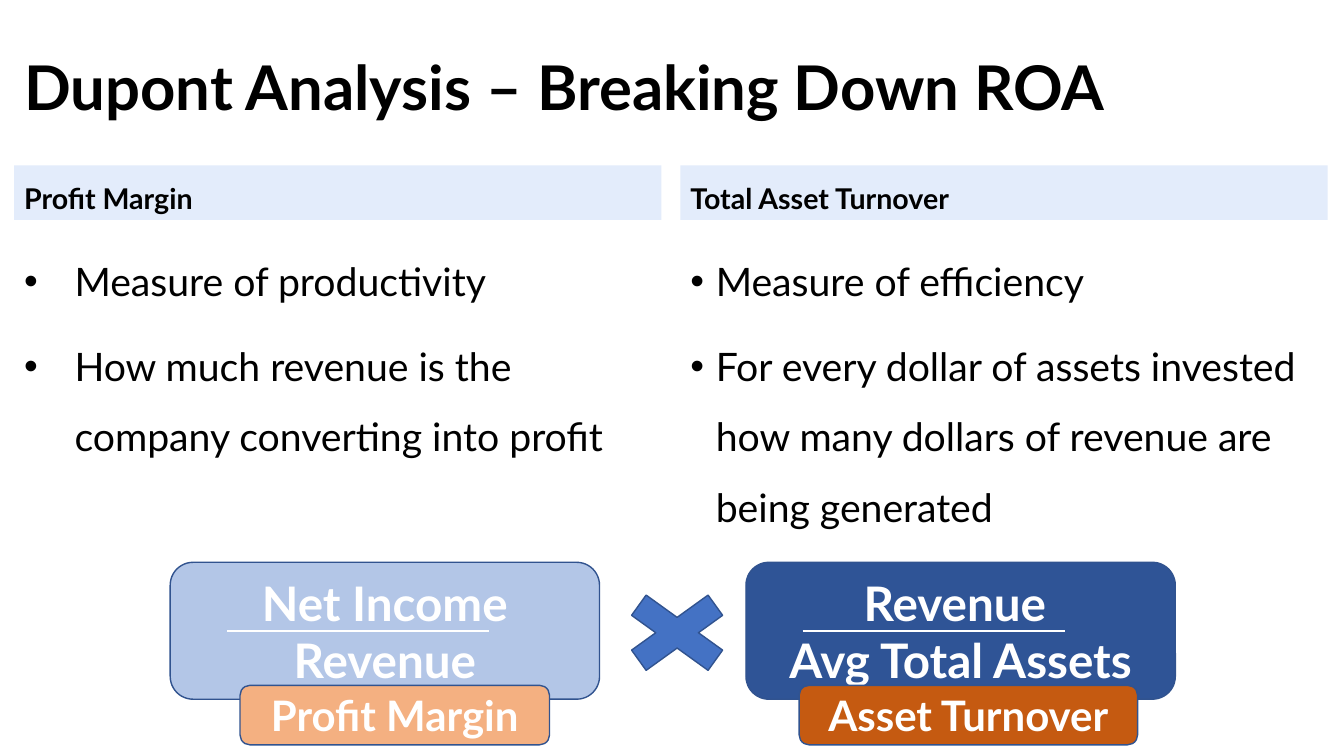
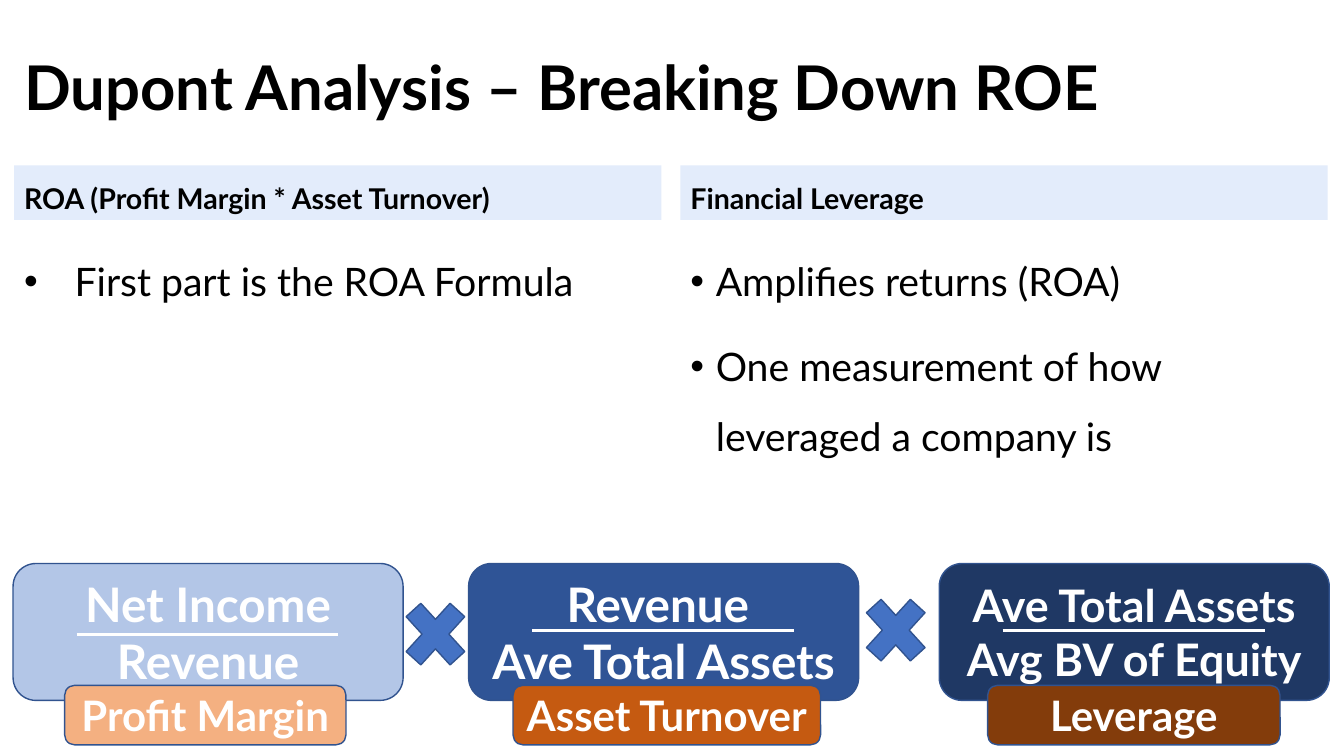
"""Build two slides on Dupont analysis: ROA and ROE."""
from lxml.etree import SubElement
from pptx import Presentation
from pptx.dml.color import RGBColor
from pptx.enum.shapes import MSO_CONNECTOR, MSO_SHAPE
from pptx.enum.text import MSO_ANCHOR, PP_ALIGN
from pptx.oxml.ns import qn
from pptx.util import Cm, Pt

FONT = "Lato"
BLACK = RGBColor(0x00, 0x00, 0x00)
WHITE = RGBColor(0xFF, 0xFF, 0xFF)
BAND = RGBColor(0xE3, 0xEC, 0xFB)
OUTLINE = RGBColor(0x31, 0x53, 0x8F)
TIMES = RGBColor(0x44, 0x72, 0xC4)
LIGHT_BLUE = RGBColor(0xB3, 0xC6, 0xE7)
BLUE = RGBColor(0x2F, 0x54, 0x96)
NAVY = RGBColor(0x1F, 0x38, 0x64)
PEACH = RGBColor(0xF4, 0xB0, 0x81)
ORANGE = RGBColor(0xC5, 0x5A, 0x11)
BROWN = RGBColor(0x83, 0x3C, 0x0B)

COLUMN_LEFTS = (0.36, 17.15)
COLUMN_INDENTS = (1.27, 0.64)
COLUMN_WIDTH = 16.31
FRACTION_HEIGHT = 3.45
BAR_LENGTH = 6.6
TAG_TOP, TAG_HEIGHT = 17.27, 1.5

SLIDES = [
    {
        "title": "Dupont Analysis – Breaking Down ROA",
        "columns": [
            ("Profit Margin",
             ["Measure of productivity",
              "How much revenue is the company converting into profit"]),
            ("Total Asset Turnover",
             ["Measure of efficiency",
              "For every dollar of assets invested how many dollars of revenue are being generated"]),
        ],
        "body_height": 7.98,
        "fraction_top": 14.17,
        "fraction_width": 10.82,
        "bar_offset": 1.43,
        "factors": [
            {"left": 4.29, "lines": ["Net Income", "Revenue"], "size": 34, "fill": LIGHT_BLUE,
             "bar_top": 15.9, "tag": ("Profit Margin", 6.05, 7.8, PEACH)},
            {"left": 18.8, "lines": ["Revenue ", "Avg Total Assets"], "size": 34, "fill": BLUE,
             "bar_top": 15.9, "tag": ("Asset Turnover", 20.14, 8.53, ORANGE)},
        ],
        "times": [(15.21, 14.61, 3.71, 2.67)],
    },
    {
        "title": "Dupont Analysis – Breaking Down ROE",
        "columns": [
            ("ROA (Profit Margin * Asset Turnover)",
             ["First part is the ROA Formula"]),
            ("Financial Leverage",
             ["Amplifies returns (ROA)",
              "One measurement of how leveraged a company is"]),
        ],
        "body_height": 11.43,
        "fraction_top": 14.2,
        "fraction_width": 9.83,
        "bar_offset": 1.6,
        "factors": [
            {"left": 0.33, "lines": ["Net Income", "Revenue"], "size": 34, "fill": LIGHT_BLUE,
             "bar_top": 15.98, "tag": ("Profit Margin", 1.63, 7.09, PEACH)},
            {"left": 11.81, "lines": ["Revenue ", "Ave Total Assets"], "size": 34, "fill": BLUE,
             "bar_top": 15.88, "tag": ("Asset Turnover", 12.93, 7.75, ORANGE)},
            {"left": 23.67, "lines": ["Ave Total Assets", "Avg BV of Equity"], "size": 32, "fill": NAVY,
             "bar_top": 15.88, "tag": ("Leverage", 24.89, 7.37, BROWN)},
        ],
        "times": [(9.91, 14.81, 2.13, 2.34), (21.51, 14.71, 2.13, 2.34)],
    },
]


def write(box, lines, size, color=BLACK, bold=False, align=PP_ALIGN.LEFT,
          anchor=MSO_ANCHOR.MIDDLE, spacing=1.0, before=0, indent=None):
    frame = box.text_frame
    frame.word_wrap = True
    frame.vertical_anchor = anchor
    for index, line in enumerate(lines):
        para = frame.add_paragraph() if index else frame.paragraphs[0]
        para.alignment = align
        para.line_spacing = spacing
        para.space_before = Pt(before if index else 0)
        if indent:
            add_bullet(para, indent)
        span = para.add_run()
        span.text = line
        span.font.name = FONT
        span.font.size = Pt(size)
        span.font.bold = bold
        span.font.color.rgb = color


def add_bullet(para, indent):
    properties = para._p.get_or_add_pPr()
    properties.set("marL", str(Cm(indent)))
    properties.set("indent", str(-Cm(indent)))
    SubElement(properties, qn("a:buFont")).set("typeface", "Arial")
    SubElement(properties, qn("a:buChar")).set("char", "•")


def add_block(page, kind, area, fill, outline=None):
    block = page.shapes.add_shape(kind, *map(Cm, area))
    block.shadow.inherit = False
    block.fill.solid()
    block.fill.fore_color.rgb = fill
    if outline is None:
        block.line.fill.background()
    else:
        block.line.color.rgb = outline
        block.line.width = Pt(1)
    return block


def add_bar(page, left, top):
    bar = page.shapes.add_connector(
        MSO_CONNECTOR.STRAIGHT, Cm(left), Cm(top), Cm(left + BAR_LENGTH), Cm(top))
    bar.line.color.rgb = WHITE
    bar.line.width = Pt(2)
    SubElement(bar._element.spPr, qn("a:effectLst"))


def add_column(page, left, indent, heading, points, height):
    band = add_block(page, MSO_SHAPE.RECTANGLE, (left, 4.17, COLUMN_WIDTH, 1.37), BAND)
    write(band, [heading], 20.4, bold=True, anchor=MSO_ANCHOR.BOTTOM, spacing=1.4)
    body = page.shapes.add_textbox(Cm(left), Cm(5.77), Cm(COLUMN_WIDTH), Cm(height))
    write(body, points, 28, anchor=MSO_ANCHOR.TOP, spacing=1.5, before=10, indent=indent)


def add_label(page, area, fill, lines, size):
    label = add_block(page, MSO_SHAPE.ROUNDED_RECTANGLE, area, fill, OUTLINE)
    write(label, lines, size, color=WHITE, bold=True, align=PP_ALIGN.CENTER)


def add_page(deck, content):
    page = deck.slides.add_slide(deck.slide_layouts[6])
    for left, indent, (heading, points) in zip(COLUMN_LEFTS, COLUMN_INDENTS, content["columns"]):
        add_column(page, left, indent, heading, points, content["body_height"])
    title = page.shapes.add_textbox(Cm(COLUMN_LEFTS[0]), Cm(1.02), Cm(33.12), Cm(2.54))
    write(title, [content["title"]], 44, bold=True, spacing=0.9)
    for factor in content["factors"]:
        area = (factor["left"], content["fraction_top"], content["fraction_width"], FRACTION_HEIGHT)
        add_label(page, area, factor["fill"], factor["lines"], factor["size"])
        name, left, width, fill = factor["tag"]
        add_label(page, (left, TAG_TOP, width, TAG_HEIGHT), fill, [name], 30)
        add_bar(page, factor["left"] + content["bar_offset"], factor["bar_top"])
    for area in content["times"]:
        add_block(page, MSO_SHAPE.MATH_MULTIPLY, area, TIMES, OUTLINE)


def main():
    deck = Presentation()
    deck.slide_width, deck.slide_height = Cm(33.87), Cm(19.05)
    for content in SLIDES:
        add_page(deck, content)
    deck.save("out.pptx")


if __name__ == "__main__":
    main()
